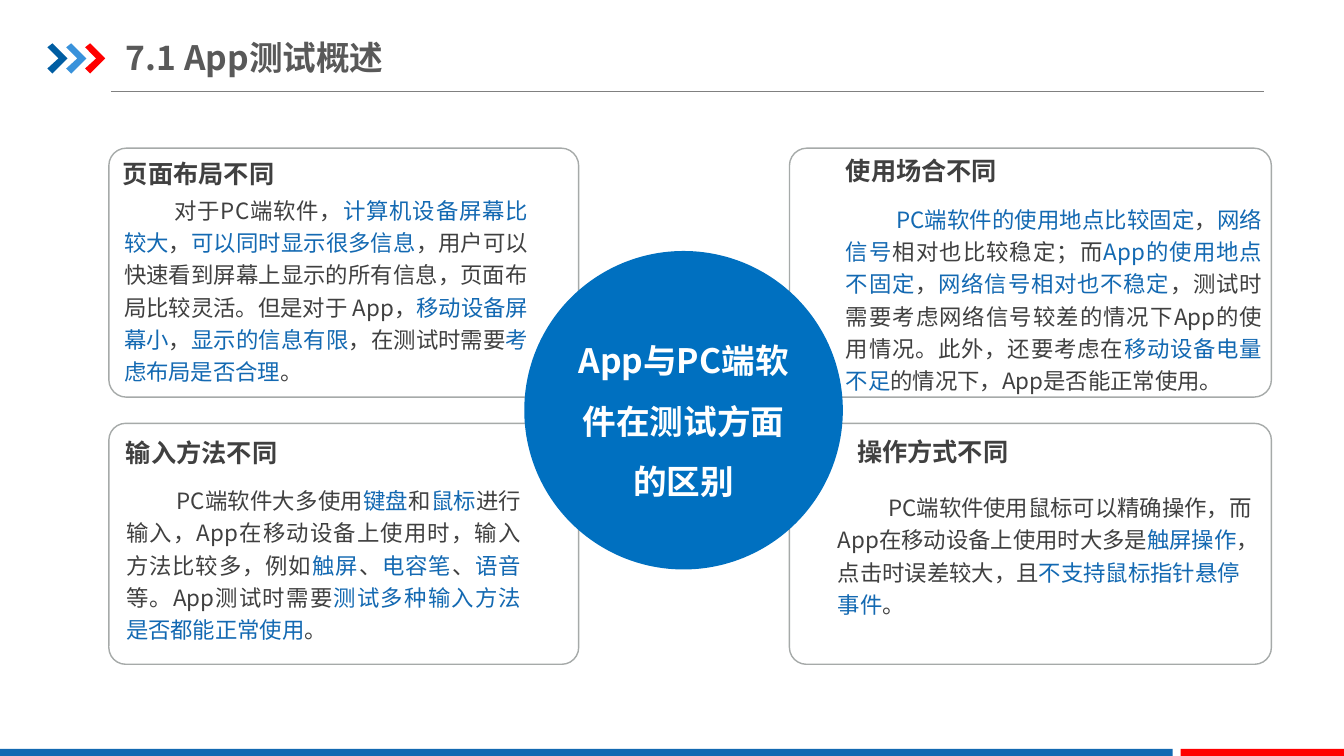
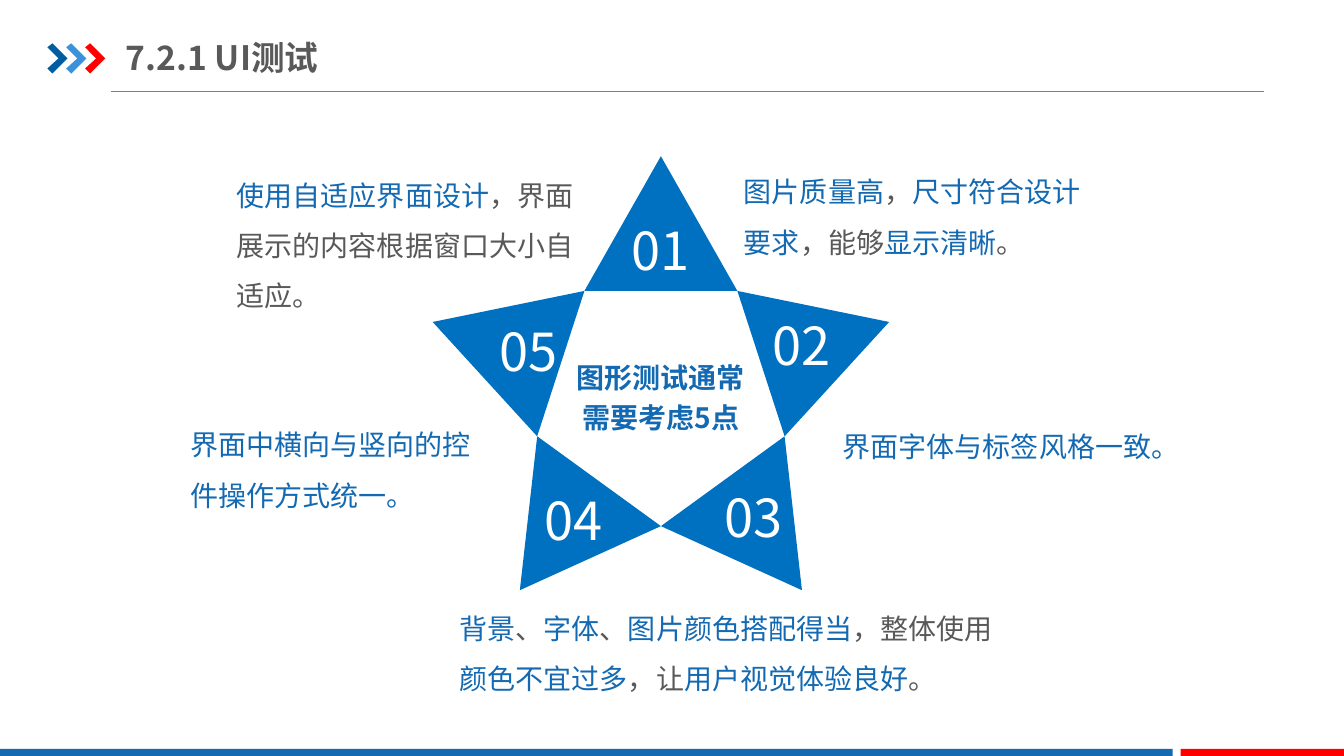
from math import cos, radians, sin

from lxml.etree import SubElement
from pptx import Presentation
from pptx.dml.color import RGBColor
from pptx.enum.shapes import MSO_CONNECTOR, MSO_SHAPE
from pptx.enum.text import MSO_ANCHOR as Anchor, PP_ALIGN as Align
from pptx.oxml.ns import qn
from pptx.util import Inches, Pt

# Style
FONT = "Noto Sans CJK SC"
LINE_HEIGHT = 1.2  # single line spacing, in font sizes
WHITE = RGBColor(0xFF, 0xFF, 0xFF)
BLUE = RGBColor(0x13, 0x69, 0xB2)
SHAPE_BLUE = RGBColor(0x00, 0x70, 0xC0)
NAVY = RGBColor(0x00, 0x5D, 0xA2)
SKY = RGBColor(0x39, 0x92, 0xDB)
RED = RGBColor(0xFF, 0x00, 0x00)
DARK = RGBColor(0x40, 0x40, 0x40)
GREY = RGBColor(0x59, 0x59, 0x59)
RULE = RGBColor(0x80, 0x80, 0x80)
BORDER = RGBColor(0xA6, 0xAA, 0xA9)


def grid(units):
    """Length of a number of columns or rows; one cell is a tenth of an inch."""
    return Inches(units / 10)


class Deck:
    def __init__(self):
        self.file = Presentation()
        self.file.slide_width = Inches(13.33)
        self.file.slide_height = Inches(7.5)
        self.slide = None

    def new_slide(self, title):
        """Start a slide with the shared header and footer."""
        self.slide = self.file.slides.add_slide(self.file.slide_layouts[6])
        self.rule(11, 9.1, 125.4)
        for step, color in enumerate((NAVY, SKY, RED)):
            left = 4.7 + 1.87 * step
            self.polygon([(left + x, y) for x, y in (
                (0, 4.7), (0.5, 4.3), (2, 5.8), (0.5, 7.3), (0, 6.8), (1.1, 5.8))], color)
        self.shape(MSO_SHAPE.RECTANGLE, (0, 74.3, 116.3, 0.7), BLUE)
        self.shape(MSO_SHAPE.RECTANGLE, (117.1, 74.3, 16.2, 0.7), RED)
        self.text((12.5, 2.9, 47, 5.5), title, 24, GREY, bold=True, anchor=Anchor.MIDDLE)

    def rule(self, left, top, right):
        line = self.slide.shapes.add_connector(
            MSO_CONNECTOR.STRAIGHT, grid(left), grid(top), grid(right), grid(top))
        line.line.color.rgb = RULE
        line.line.width = Pt(0.75)
        SubElement(line._element.spPr, qn("a:effectLst"))

    def paint(self, shape, fill):
        shape.shadow.inherit = False
        shape.line.fill.background()
        if fill is None:
            shape.fill.background()
        else:
            shape.fill.solid()
            shape.fill.fore_color.rgb = fill

    def shape(self, preset, area, fill=None):
        shape = self.slide.shapes.add_shape(preset, *map(grid, area))
        self.paint(shape, fill)
        return shape

    def card(self, area):
        card = self.shape(MSO_SHAPE.ROUNDED_RECTANGLE, area)
        card.adjustments[0] = 0.07
        card.line.color.rgb = BORDER
        card.line.width = Pt(1)

    def polygon(self, points, fill):
        start, *others = [(grid(x), grid(y)) for x, y in points]
        outline = self.slide.shapes.build_freeform(*start)
        outline.add_line_segments(others, close=True)
        self.paint(outline.convert_to_shape(), fill)

    def text(self, area, words, size, color, bold=False, align=Align.LEFT,
             anchor=Anchor.TOP, spacing=1, indent=0, inset=(0, 0)):
        """Add one paragraph; parts between bars are blue."""
        frame = self.slide.shapes.add_textbox(*map(grid, area)).text_frame
        frame.word_wrap = True
        frame.vertical_anchor = anchor
        frame.margin_left = frame.margin_right = grid(inset[0])
        frame.margin_top = frame.margin_bottom = grid(inset[1])
        paragraph = frame.paragraphs[0]
        paragraph.alignment = align
        paragraph.line_spacing = Pt(size * LINE_HEIGHT * spacing)
        font = paragraph.font
        font.name, font.size, font.bold = FONT, Pt(size), bold
        font.color.rgb = color
        properties = paragraph._p.get_or_add_pPr()
        properties.set("indent", str(grid(indent)))
        SubElement(properties.find(qn("a:defRPr")), qn("a:ea"), typeface=FONT)
        for position, part in enumerate(words.split("|")):
            if part:
                run = paragraph.add_run()
                run.text = part
                if position % 2:
                    run.font.color.rgb = BLUE

    def heading(self, area, words, align=Align.LEFT, spacing=1.2):
        self.text(area, words, 18, DARK, bold=True, align=align,
                  anchor=Anchor.MIDDLE, spacing=spacing)

    def body(self, area, words, align=Align.JUSTIFY):
        self.text(area, words, 16, DARK, align=align, spacing=1.2, indent=5)

    def point(self, area, words, spacing=1.5):
        self.text(area, words, 20, GREY, spacing=spacing, inset=(1, 0.5))


def differences(deck):
    deck.new_slide("7.1 App测试概述")

    # Cards and centre circle
    for left, width in ((10.8, 46.6), (78.3, 47.8)):
        for top, height in ((14.7, 24.7), (42, 23.9)):
            deck.card((left, top, width, height))
    deck.shape(MSO_SHAPE.OVAL, (52, 24.9, 31.6, 31.6), SHAPE_BLUE)
    deck.text((56.3, 32.2, 23, 17.1), "App与PC端软件在测试方面的区别", 24, WHITE, bold=True,
              align=Align.CENTER, anchor=Anchor.MIDDLE, spacing=1.5)

    # Left cards
    deck.heading((12.2, 14.7, 20.4, 4.4), "页面布局不同")
    deck.body((12.3, 19, 40.1, 19.2),
              "对于PC端软件，|计算机设备屏幕比较大|，|可以同时显示很多信息|，用户可以快速看到屏幕上显示的"
              "所有信息，页面布局比较灵活。但是对于 App，|移动设备屏幕小|，|显示的信息有限|，在测试时需要"
              "|考虑布局是否合理|。")
    deck.heading((12.5, 42.4, 20.4, 4.4), "输入方法不同")
    deck.body((12.5, 47.8, 39.2, 15.7),
              "PC端软件大多使用|键盘|和|鼠标|进行输入，App在移动设备上使用时，输入方法比较多，例如"
              "|触屏|、|电容笔|、|语音|等。App测试时需要|测试多种输入方法是否都能正常使用|。")

    # Right cards
    deck.heading((83.6, 14.7, 15.3, 4.4), "使用场合不同", Align.RIGHT, spacing=1)
    deck.body((83.9, 19.9, 41.3, 19.1),
              "|PC端软件的使用地点比较固定|，|网络信号|相对也比较稳定；而|App的使用地点不固定|，"
              "|网络信号相对也不稳定|，测试时需要考虑网络信号较差的情况下App的使用情况。此外，还要考虑在"
              "|移动设备电量不足|的情况下，App是否能正常使用。")
    deck.heading((83.6, 42.6, 16.4, 4.4), "操作方式不同", Align.RIGHT, spacing=1)
    deck.body((83.1, 48.5, 41.8, 14.9),
              "PC端软件使用鼠标可以精确操作，而App在移动设备上使用时大多是|触屏操作|，点击时误差较大，且"
              "|不支持鼠标指针悬停事件|。", Align.LEFT)


def interface_points(deck):
    deck.new_slide("7.2.1 UI测试")

    # Star arms, clockwise from the top
    def on_star(radius, angle):
        turn = radians(angle)
        return 65.55 + radius * sin(turn), 39.3 - radius * cos(turn)

    for angle in range(0, 360, 72):
        deck.polygon([on_star(12.9, angle - 36), on_star(23.8, angle),
                      on_star(12.9, angle + 36)], SHAPE_BLUE)

    # Arm numbers, by centre and top
    numbers = ((65.55, 21.6), (79.5, 31.1), (74.7, 48.1), (56.9, 48.4), (52.4, 31.7))
    for number, (center, top) in enumerate(numbers, 1):
        deck.text((center - 4, top, 8, 6.3), f"{number:02}", 37.4, WHITE, align=Align.CENTER)
    deck.text((56.1, 35.1, 18.9, 8.1), "图形测试通常需要考虑5点", 20, BLUE, bold=True,
              align=Align.CENTER, spacing=1.2)

    # Points around the star
    deck.point((72.8, 15.2, 36, 11.1), "|图片质量高|，|尺寸符合设计要求|，能够|显示清晰|。")
    deck.point((82.6, 42.1, 35.3, 4.4), "|界面字体与标签风格一致。|", spacing=1)
    deck.point((44.6, 58.5, 57.1, 11.1),
               "|背景|、|字体|、|图片颜色搭配得当|，整体使用|颜色不宜过多|，让|用户视觉体验良好|。")
    deck.point((17.9, 40.3, 31.7, 10.5), "|界面中横向与竖向的控件操作方式统一。|")
    deck.point((22.5, 15.5, 38, 16.2), "|使用自适应界面设计|，界面展示的内容根据窗口大小自适应。")


def main():
    deck = Deck()
    differences(deck)
    interface_points(deck)
    deck.file.save("out.pptx")


if __name__ == "__main__":
    main()
